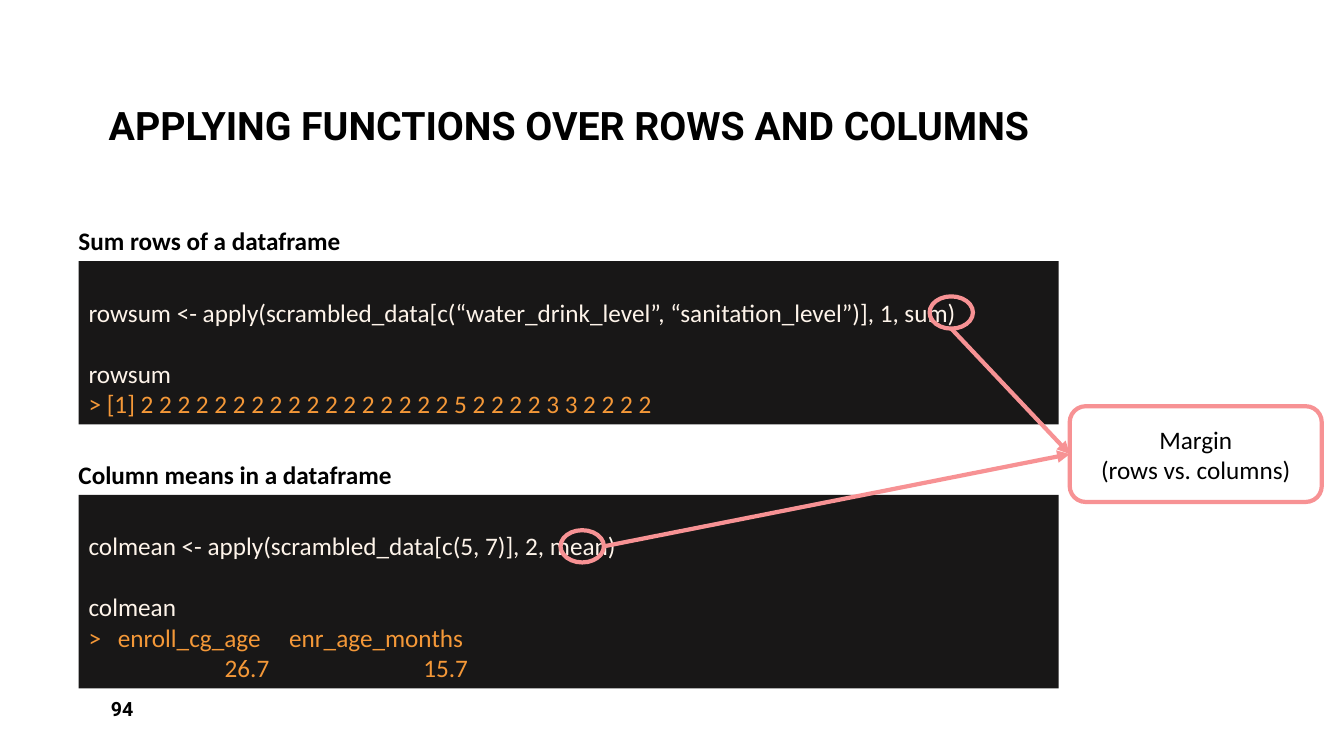
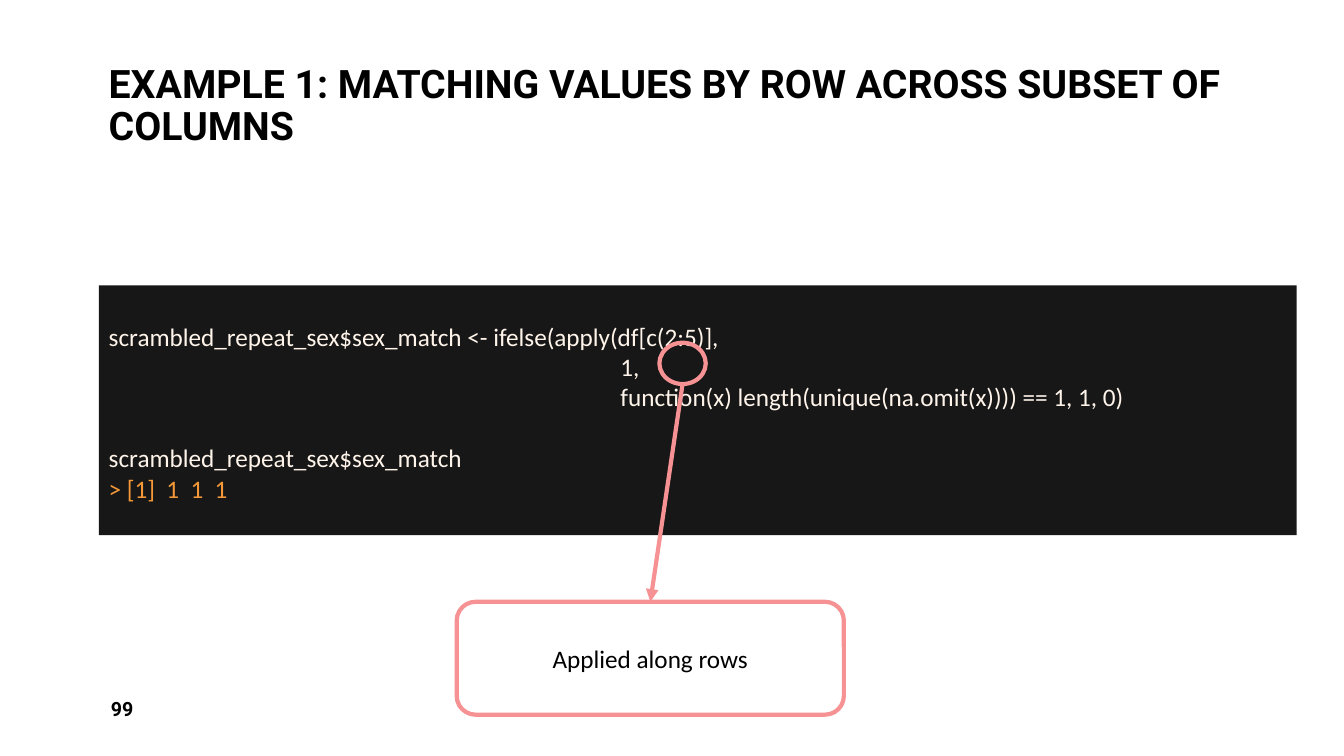
import pptx
import pptx.util
import pptx.dml.color
import pptx.enum.shapes
import pptx.enum.text
import pptx.oxml
import pptx.oxml.ns
from lxml import etree

Inches, Pt = pptx.util.Inches, pptx.util.Pt
RGB = pptx.dml.color.RGBColor.from_string
SHAPES = pptx.enum.shapes.MSO_SHAPE
ANCHOR = pptx.enum.text.MSO_ANCHOR
ALIGN = pptx.enum.text.PP_ALIGN

THEME = {
    "panel": RGB("181717"),
    "accent": RGB("F79294"),
    "accent_width": Pt(3),
    "code_line": Pt(22),
    "title": {"name": "Roboto", "size": Pt(28), "bold": True, "color": RGB("000000")},
    "number": {"name": "Roboto", "size": Pt(14), "bold": True, "color": RGB("000000")},
    "heading": {"name": "Calibri", "size": Pt(18), "bold": True, "color": RGB("000000")},
    "label": {"name": "Calibri", "size": Pt(18), "color": RGB("000000")},
    "code": {"name": "Calibri", "size": Pt(18), "color": RGB("FEF4EA")},
    "output": {"name": "Calibri", "size": Pt(18), "color": RGB("F49838")},
}
TITLE_AREA = (0.98, 0.08, 11.38, 1.45)
NUMBER_AREA = (1, 6.83, 2.92, 0.4)
HEADING_SIZE = (5.1, 0.4)
INSET = 0.1
INDENT = " " * 90

# A panel holds code blocks; each block is a list of (style, text, tab stops).
SLIDES = [
    {
        "title": "APPLYING FUNCTIONS OVER ROWS AND COLUMNS",
        "number": "94",
        "panels": [
            {
                "heading": "Sum rows of a dataframe",
                "area": (0.78, 2.59, 9.72, 1.62),
                "blocks": [
                    [("code", "rowsum <- apply(scrambled_data[c(“water_drink_level”, "
                              "“sanitation_level”)], 1, sum)", ())],
                    [("code", "rowsum", ()),
                     ("output", "> [1] 2 2 2 2 2 2 2 2 2 2 2 2 2 2 2 2 2 5 2 2 2 2 3 3 2 2 2 2", ())],
                ],
            },
            {
                "heading": "Column means in a dataframe",
                "area": (0.78, 4.91, 9.72, 1.92),
                "blocks": [
                    [("code", "colmean <- apply(scrambled_data[c(5, 7)], 2, mean)", ())],
                    [("code", "colmean", ()),
                     ("output", ">\tenroll_cg_age\tenr_age_months", (0.29, 1.99)),
                     ("output", "\t26.7\t15.7", (1.35, 3.32))],
                ],
            },
        ],
        "callout": {"area": (10.61, 4.03, 2.5, 0.95), "side": 1,
                    "lines": ["Margin", "(rows vs. columns)"]},
        "rings": [((9.22, 2.94, 0.43, 0.32), "bottom"),
                  ((5.56, 5.26, 0.43, 0.32), "right")],
    },
    {
        "title": "EXAMPLE 1: MATCHING VALUES BY ROW ACROSS SUBSET OF COLUMNS",
        "number": "99",
        "panels": [
            {
                "heading": None,
                "area": (0.98, 2.83, 11.88, 2.48),
                "blocks": [
                    [("code", "scrambled_repeat_sex$sex_match <- ifelse(apply(df[c(2:5)],", ()),
                     ("code", INDENT + "1,", ()),
                     ("code", INDENT + "function(x) length(unique(na.omit(x)))) == 1, 1, 0)", ())],
                    [("code", "scrambled_repeat_sex$sex_match", ()),
                     ("output", "> [1]  1  1  1", ())],
                ],
            },
        ],
        "callout": {"area": (4.53, 5.97, 3.84, 1.12), "side": 0,
                    "lines": ["Applied along rows"]},
        "rings": [((6.54, 3.4, 0.46, 0.41), "bottom")],
    },
]


def write(para, text, style):
    span = para.add_run()
    span.text = text
    for name, value in THEME[style].items():
        if name == "color":
            span.font.color.rgb = value
        else:
            setattr(span.font, name, value)


def next_para(frame, index):
    return frame.add_paragraph() if index else frame.paragraphs[0]


def add_text(page, area, text, style, anchor=ANCHOR.TOP, spacing=None):
    frame = page.shapes.add_textbox(*map(Inches, area)).text_frame
    frame.word_wrap = True
    frame.vertical_anchor = anchor
    para = frame.paragraphs[0]
    para.line_spacing = spacing
    write(para, text, style)


def set_tabs(para, stops):
    tab_list = etree.SubElement(para._p.get_or_add_pPr(), pptx.oxml.ns.qn("a:tabLst"))
    for stop in stops:
        etree.SubElement(tab_list, pptx.oxml.ns.qn("a:tab"), pos=str(Inches(stop)), algn="l")


def add_panel(page, panel):
    left, top, width, height = panel["area"]
    box = page.shapes.add_shape(SHAPES.RECTANGLE, *map(Inches, panel["area"]))
    box.shadow.inherit = False
    box.fill.solid()
    box.fill.fore_color.rgb = THEME["panel"]
    box.line.fill.background()
    frame = box.text_frame
    frame.word_wrap = True
    frame.vertical_anchor = ANCHOR.TOP
    frame.margin_top = Inches(0.05) + THEME["code_line"]
    index = 0
    for block in panel["blocks"]:
        for row, (style, text, stops) in enumerate(block):
            para = next_para(frame, index)
            para.alignment = ALIGN.LEFT
            if stops:
                set_tabs(para, stops)
            if index and row == 0:
                para.space_before = THEME["code_line"]
            write(para, text, style)
            index += 1
    if panel["heading"]:
        heading_area = (left - INSET, top - HEADING_SIZE[1], *HEADING_SIZE)
        add_text(page, heading_area, panel["heading"], "heading")


def add_outline(page, kind, area):
    shape = page.shapes.add_shape(kind, *map(Inches, area))
    shape.shadow.inherit = False
    shape.fill.background()
    shape.line.color.rgb = THEME["accent"]
    shape.line.width = THEME["accent_width"]
    return shape


def add_callout(page, callout):
    box = add_outline(page, SHAPES.ROUNDED_RECTANGLE, callout["area"])
    frame = box.text_frame
    frame.word_wrap = True
    frame.vertical_anchor = ANCHOR.MIDDLE
    for index, text in enumerate(callout["lines"]):
        para = next_para(frame, index)
        para.alignment = ALIGN.CENTER
        write(para, text, "label")
    return box


def add_arrow(page, ring, leaving, callout, side):
    """Draw an arrow from the named edge of a ring to a side of the callout."""
    if leaving == "bottom":
        start = ring.left + ring.width // 2, ring.top + ring.height
    else:
        start = ring.left + ring.width, ring.top + ring.height // 2
    arrow = page.shapes.add_connector(
        pptx.enum.shapes.MSO_CONNECTOR.STRAIGHT, *start, callout.left, callout.top)
    arrow.end_connect(callout, side)
    arrow.line.color.rgb = THEME["accent"]
    arrow.line.width = THEME["accent_width"]
    etree.SubElement(arrow.line._get_or_add_ln(), pptx.oxml.ns.qn("a:tailEnd"), type="triangle")
    etree.SubElement(arrow._element.spPr, pptx.oxml.ns.qn("a:effectLst"))


def build_page(deck, content):
    page = deck.slides.add_slide(deck.slide_layouts[6])
    add_text(page, TITLE_AREA, content["title"], "title", ANCHOR.BOTTOM, 0.9)
    add_text(page, NUMBER_AREA, content["number"], "number", ANCHOR.MIDDLE)
    for panel in content["panels"]:
        add_panel(page, panel)
    callout = add_callout(page, content["callout"])
    for area, leaving in content["rings"]:
        ring = add_outline(page, SHAPES.OVAL, area)
        add_arrow(page, ring, leaving, callout, content["callout"]["side"])


def main():
    deck = pptx.Presentation()
    deck.slide_width, deck.slide_height = Inches(13.33), Inches(7.5)
    for content in SLIDES:
        build_page(deck, content)
    deck.save("out.pptx")


if __name__ == "__main__":
    main()
